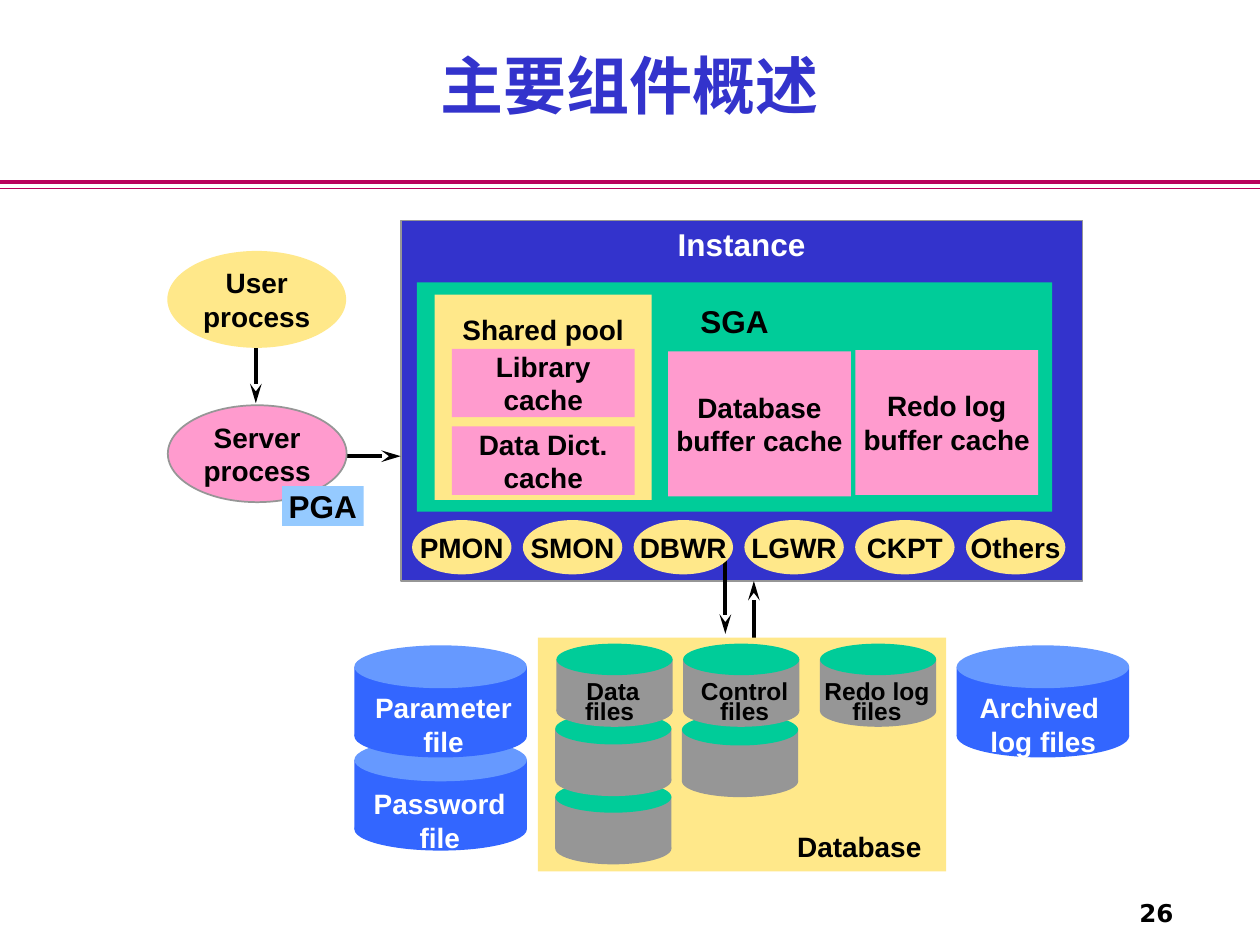
from dataclasses import dataclass
from typing import Optional

from lxml.etree import SubElement
from pptx import Presentation
from pptx.dml.color import RGBColor
from pptx.enum.shapes import MSO_CONNECTOR as Connector, MSO_SHAPE as Preset
from pptx.enum.text import MSO_ANCHOR as Anchor, MSO_AUTO_SIZE as AutoSize, PP_ALIGN as Align
from pptx.oxml.ns import qn
from pptx.util import Pt


@dataclass(frozen=True)
class Theme:
    font: str = "Arial"
    title_font: str = "Times New Roman"
    number_font: str = "DejaVu Sans"
    title_size: float = 36
    heading_size: float = 18
    label_size: float = 16
    small_size: float = 14
    black: str = "000000"
    white: str = "FFFFFF"
    indigo: str = "3333CC"
    green: str = "00CC99"
    yellow: str = "FFE88A"
    pink: str = "FF9BCE"
    sky: str = "95CAFF"
    gray: str = "969696"
    blue: str = "3366FF"
    light_blue: str = "6699FF"
    magenta: str = "BA005D"


THEME = Theme()


@dataclass(frozen=True)
class Box:
    left: float
    top: float
    width: float
    height: float


@dataclass(frozen=True)
class Style:
    size: float = THEME.label_size
    color: str = THEME.black
    font: str = THEME.font
    align: Align = Align.CENTER
    anchor: Anchor = Anchor.MIDDLE
    wrap: bool = False
    grow: bool = False
    spacing: Optional[float] = None
    inset_x: float = 7.2
    inset_top: float = 3.6


@dataclass(frozen=True)
class Node:
    """A filled shape with a label; a vertical tab in the label breaks the line."""
    text: str
    box: Box
    fill: str
    preset: Preset = Preset.RECTANGLE
    style: Style = Style()
    outline: Optional[str] = None


@dataclass(frozen=True)
class Label:
    text: str
    box: Box
    style: Style


@dataclass(frozen=True)
class CylinderKind:
    width: float
    height: float
    cap: float
    body: str
    lid: str


@dataclass(frozen=True)
class Line:
    x1: float
    y1: float
    x2: float
    y2: float
    color: str = THEME.black
    width: float = 2.25
    arrow: bool = True


TITLE = Style(THEME.title_size, THEME.indigo, THEME.title_font, anchor=Anchor.TOP, wrap=True)
NUMBER = Style(THEME.small_size, font=THEME.number_font, align=Align.RIGHT)
INSTANCE = Style(THEME.heading_size, THEME.white, anchor=Anchor.TOP, inset_top=2.6)
SGA = Style(THEME.heading_size, anchor=Anchor.TOP, inset_top=11.4)
POOL = Style(anchor=Anchor.TOP, inset_top=10.4)
PGA = Style(THEME.heading_size)
DISK_TEXT = Style(color=THEME.white, anchor=Anchor.TOP, grow=True, inset_x=2, inset_top=4.5)
DATABASE_TEXT = Style(anchor=Anchor.TOP, grow=True, inset_x=2, inset_top=4.5)
FILE_TEXT = Style(THEME.small_size, anchor=Anchor.TOP, wrap=True, spacing=0.7,
                  inset_x=8.2, inset_top=4.1)

DISK = CylinderKind(98.6, 64.1, 24.5, THEME.blue, THEME.light_blue)
FILE = CylinderKind(66.4, 47.5, 18, THEME.gray, THEME.green)

RULES = [Line(0, 104.2, 720, 104.2, THEME.magenta, 2.25, False),
         Line(0, 107.8, 720, 107.8, THEME.magenta, 1, False)]
ARROWS = [Line(430.8, 383, 430.8, 332), Line(414.5, 311, 414.5, 362.2),
          Line(173.5, 260.7, 229, 260.7), Line(146.2, 179.3, 146.2, 230.4)]

INSTANCE_NODE = Node("Instance", Box(229, 126, 389.6, 206), THEME.indigo,
                     style=INSTANCE, outline=THEME.gray)
MEMORY = [
    Node("SGA", Box(238.3, 161.4, 362.9, 131), THEME.green, style=SGA),
    Node("Shared pool", Box(248.4, 168.4, 124, 117.2), THEME.yellow, style=POOL),
    Node("Library\ncache", Box(258.2, 199.4, 104.4, 39), THEME.pink),
    Node("Data Dict.\vcache", Box(258.2, 243.6, 104.4, 39.2), THEME.pink),
    Node("Database\vbuffer cache", Box(381.8, 200.8, 104.4, 82.8), THEME.pink),
    Node("Redo log\vbuffer cache", Box(488.8, 200, 104.4, 82.8), THEME.pink),
]
BACKGROUND = ["PMON", "SMON", "DBWR", "LGWR", "CKPT", "Others"]
BACKGROUND_LEFT, BACKGROUND_PITCH = 235.5, 63.3
PROCESSES = [
    Node("User\vprocess", Box(95.6, 143.4, 102.2, 55.4), THEME.yellow, Preset.OVAL),
    Node("Server\vprocess", Box(95.9, 231.6, 102.2, 55.4), THEME.pink, Preset.OVAL,
         outline=THEME.gray),
    Node("PGA", Box(161.2, 277.8, 46.6, 22.8), THEME.sky, style=PGA),
]
DATABASE = Node("", Box(307.4, 364.4, 233.3, 133.6), THEME.yellow)

# Lower cylinders come first, so that the upper ones overlap them.
CYLINDERS = [
    (DISK, 546.7, 368.8), (DISK, 202.5, 422), (DISK, 202.5, 368.8),
    (FILE, 389.7, 408), (FILE, 390.4, 367.8),
    (FILE, 317.3, 446.4), (FILE, 317.3, 407.4), (FILE, 318, 367.8),
    (FILE, 468.6, 367.8),
]
LABELS = [
    Label("Control files", Box(386.6, 386.6, 77.8, 31.7), FILE_TEXT),
    Label("Data files ", Box(319, 386.6, 62.6, 31.7), FILE_TEXT),
    Label("Redo log files", Box(460.1, 386.6, 82.1, 31.7), FILE_TEXT),
    Label("Archived \nlog files", Box(550.8, 390.2, 90.7, 47.5), DISK_TEXT),
    Label("Parameter\nfile", Box(205.2, 390.2, 96.5, 47.5), DISK_TEXT),
    Label("Password\nfile", Box(204.5, 445, 93.6, 47.5), DISK_TEXT),
    Label("Database", Box(446.4, 469.6, 89.3, 28), DATABASE_TEXT),
    Label("主要组件概述", Box(54, 23, 612, 59), TITLE),
    Label("26", Box(635.8, 509.8, 41.8, 23.8), NUMBER),
]


def write(shape, text: str, style: Style) -> None:
    frame = shape.text_frame
    frame.text = text
    frame.word_wrap = style.wrap
    if style.grow:
        frame.auto_size = AutoSize.SHAPE_TO_FIT_TEXT
    frame.vertical_anchor = style.anchor
    frame.margin_left = frame.margin_right = Pt(style.inset_x)
    frame.margin_top = Pt(style.inset_top)
    frame.margin_bottom = Pt(3.6)
    for para in frame.paragraphs:
        para.alignment = style.align
        if style.spacing:
            para.line_spacing = style.spacing
        for span in para.runs:
            span.font.name = style.font
            span.font.size = Pt(style.size)
            span.font.bold = True
            span.font.color.rgb = RGBColor.from_string(style.color)


def draw_shape(shapes, preset: Preset, box: Box, fill: str, outline: Optional[str] = None):
    shape = shapes.add_shape(preset, Pt(box.left), Pt(box.top), Pt(box.width), Pt(box.height))
    shape.shadow.inherit = False
    shape.fill.solid()
    shape.fill.fore_color.rgb = RGBColor.from_string(fill)
    if outline:
        shape.line.color.rgb = RGBColor.from_string(outline)
        shape.line.width = Pt(1)
    else:
        shape.line.fill.background()
    return shape


def draw_node(page, node: Node) -> None:
    shape = draw_shape(page.shapes, node.preset, node.box, node.fill, node.outline)
    if node.text:
        write(shape, node.text, node.style)


def draw_label(page, label: Label) -> None:
    box = label.box
    shape = page.shapes.add_textbox(Pt(box.left), Pt(box.top), Pt(box.width), Pt(box.height))
    write(shape, label.text, label.style)


def draw_cylinder(page, kind: CylinderKind, left: float, top: float) -> None:
    """Group a body with a lid above it and a rounded base below."""
    shapes = page.shapes.add_group_shape().shapes
    side = kind.height - kind.cap
    draw_shape(shapes, Preset.RECTANGLE, Box(left, top + kind.cap / 2, kind.width, side), kind.body)
    draw_shape(shapes, Preset.OVAL, Box(left, top, kind.width, kind.cap), kind.lid)
    draw_shape(shapes, Preset.OVAL, Box(left, top + side, kind.width, kind.cap), kind.body)


def draw_line(page, line: Line) -> None:
    connector = page.shapes.add_connector(
        Connector.STRAIGHT, Pt(line.x1), Pt(line.y1), Pt(line.x2), Pt(line.y2))
    connector.line.color.rgb = RGBColor.from_string(line.color)
    connector.line.width = Pt(line.width)
    if line.arrow:
        outline = connector._element.spPr.find(qn("a:ln"))
        SubElement(outline, qn("a:tailEnd"), type="stealth", w="med", len="lg")
    SubElement(connector._element.spPr, qn("a:effectLst"))


def main() -> None:
    deck = Presentation()
    deck.slide_width, deck.slide_height = Pt(720), Pt(540)
    page = deck.slides.add_slide(deck.slide_layouts[6])
    for rule in RULES:
        draw_line(page, rule)
    draw_node(page, INSTANCE_NODE)
    for arrow in ARROWS:
        draw_line(page, arrow)
    background = [Node(name, Box(BACKGROUND_LEFT + i * BACKGROUND_PITCH, 297.2, 56.8, 31),
                       THEME.yellow, Preset.OVAL) for i, name in enumerate(BACKGROUND)]
    for node in [*MEMORY, *background, *PROCESSES, DATABASE]:
        draw_node(page, node)
    for kind, left, top in CYLINDERS:
        draw_cylinder(page, kind, left, top)
    for label in LABELS:
        draw_label(page, label)
    deck.save("out.pptx")


if __name__ == "__main__":
    main()
